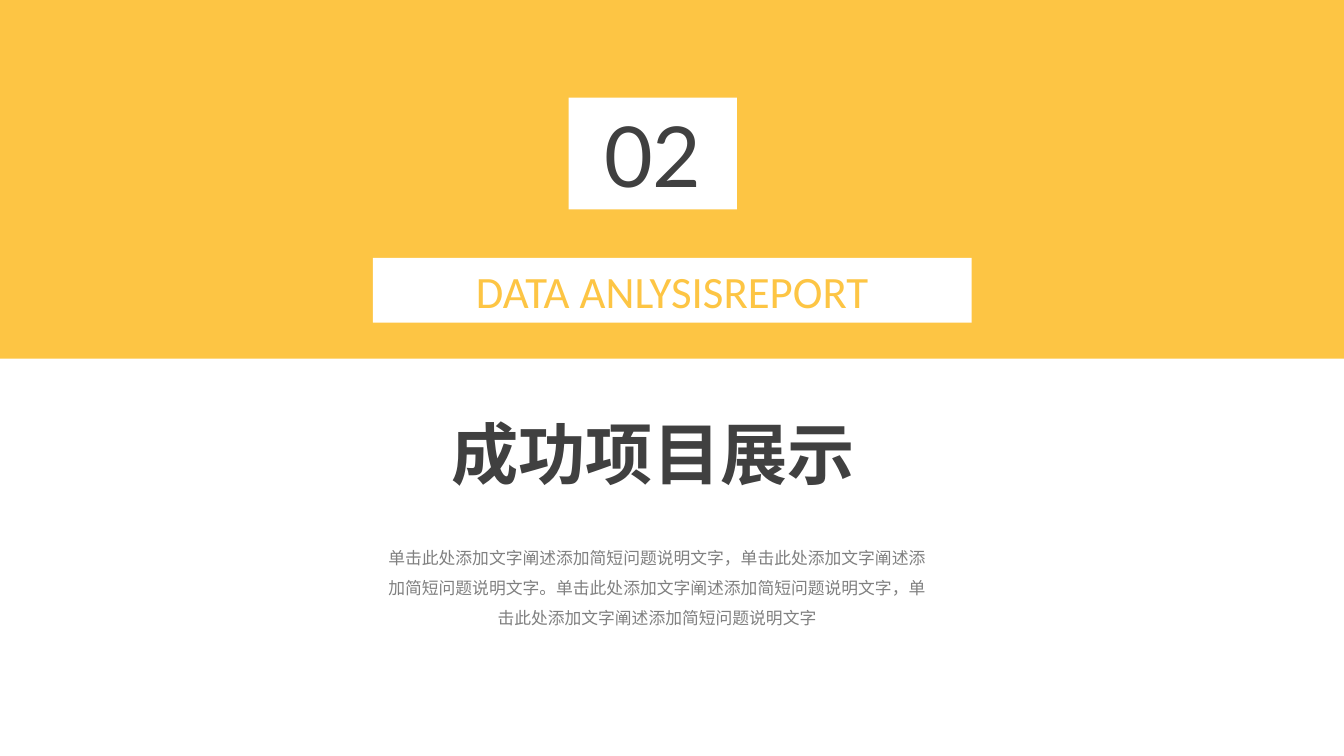
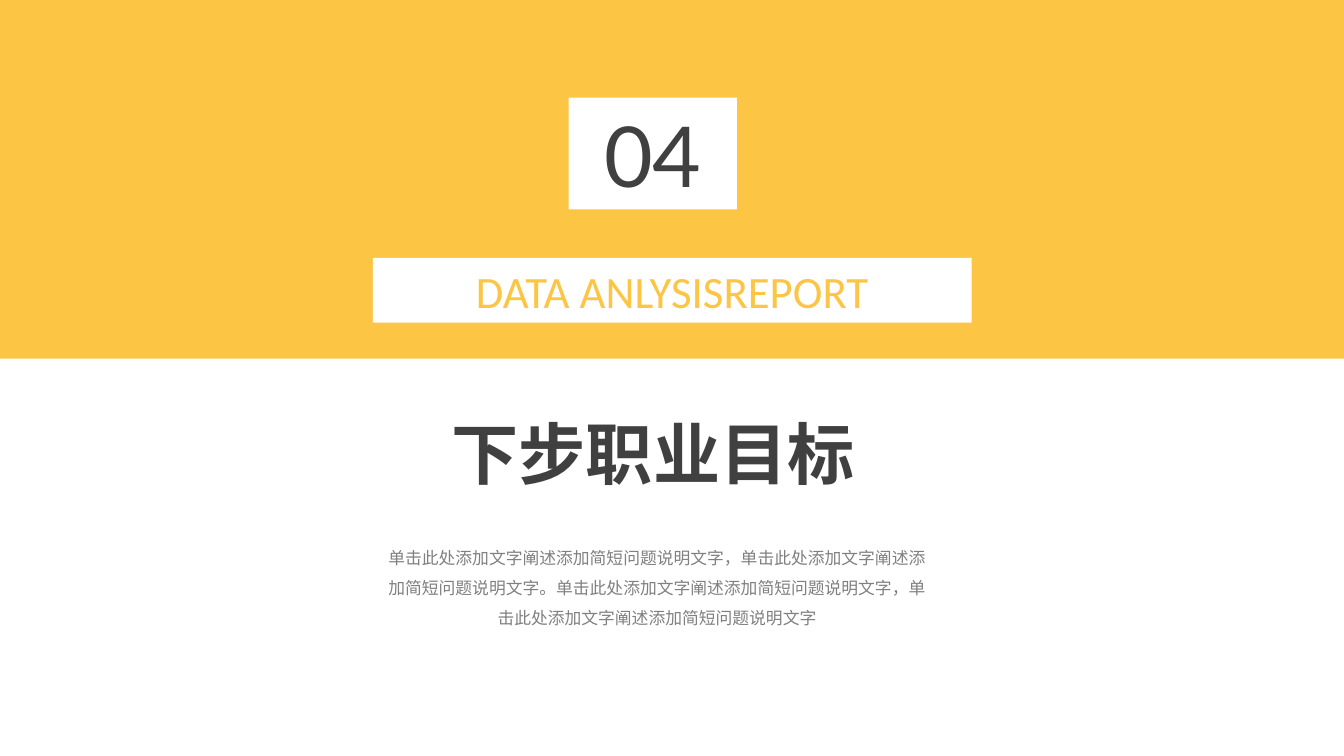
from lxml import etree
from pptx import Presentation
from pptx.dml.color import RGBColor
from pptx.enum.shapes import MSO_SHAPE
from pptx.enum.text import MSO_ANCHOR, MSO_AUTO_SIZE, PP_ALIGN
from pptx.oxml.ns import qn
from pptx.util import Cm, Pt

RECTANGLE = MSO_SHAPE.RECTANGLE
MIDDLE = MSO_ANCHOR.MIDDLE
NO_AUTOFIT = MSO_AUTO_SIZE.NONE
CENTER = PP_ALIGN.CENTER

SLIDE_WIDTH, SLIDE_HEIGHT = 33.87, 19.05
BAND_HEIGHT = 9.04
SECTION_LAYOUT = 2

YELLOW = "FDC544"
WHITE = "FFFFFF"
DARK = "404040"
GRAY = "808080"

NUMBER_FONT = "Lato"
STRAPLINE_FONT = "Calibri"
CHINESE_FONT = "Noto Sans CJK SC"

STRAPLINE = "DATA ANLYSISREPORT"
DESCRIPTION = (
    "单击此处添加文字阐述添加简短问题说明文字，"
    "单击此处添加文字阐述添加简短问题说明文字。"
    "单击此处添加文字阐述添加简短问题说明文字，"
    "单击此处添加文字阐述添加简短问题说明文字"
)
SECTIONS = [("02", "成功项目展示"), ("04", "下步职业目标")]


def color(hex_string):
    return RGBColor.from_string(hex_string)


def write(shape, text, *, font, size, ink, bold=False, line_spacing=1.0):
    frame = shape.text_frame
    frame.word_wrap = True
    frame.auto_size = NO_AUTOFIT
    frame.vertical_anchor = MIDDLE
    paragraph = frame.paragraphs[0]
    paragraph.alignment = CENTER
    paragraph.line_spacing = line_spacing
    paragraph.space_before = Pt(0)
    run = paragraph.add_run()
    run.text = text
    run.font.size = Pt(size)
    run.font.bold = bold
    run.font.color.rgb = color(ink)
    run.font.name = font
    east_asian = etree.SubElement(run.font._element, qn("a:ea"))
    east_asian.set("typeface", font)


def add_panel(slide, left, top, width, height, fill):
    panel = slide.shapes.add_shape(RECTANGLE, Cm(left), Cm(top), Cm(width), Cm(height))
    panel.shadow.inherit = False
    panel.fill.solid()
    panel.fill.fore_color.rgb = color(fill)
    panel.line.fill.background()
    return panel


def move(shape, left, top, width, height):
    shape.left, shape.top = Cm(left), Cm(top)
    shape.width, shape.height = Cm(width), Cm(height)


def add_band(slide, left, top, width, height, number):
    add_panel(slide, left, top, width, height, YELLOW)
    number_box = add_panel(slide, left + 14.33, top + 2.46, 4.24, 2.82, WHITE)
    write(number_box, number, font=NUMBER_FONT, size=60, ink=DARK)
    strapline_box = add_panel(slide, left + 9.4, top + 6.5, 15.09, 1.63, WHITE)
    write(strapline_box, STRAPLINE, font=STRAPLINE_FONT, size=32, ink=YELLOW)


def fill_heading(slide, left, top, heading):
    title, description = slide.placeholders
    move(title, left + 9.88, top + 1.22, 13.16, 2.31)
    write(title, heading, font=CHINESE_FONT, size=48, ink=DARK, bold=True)
    move(description, left + 9.37, top + 4.42, 14.38, 2.46)
    write(description, DESCRIPTION, font=CHINESE_FONT, size=12, ink=GRAY, line_spacing=1.5)


def add_section_slide(deck, number, heading):
    slide = deck.slides.add_slide(deck.slide_layouts[SECTION_LAYOUT])
    add_band(slide, 0, 0, SLIDE_WIDTH, BAND_HEIGHT, number)
    fill_heading(slide, 0, BAND_HEIGHT, heading)


def main():
    deck = Presentation()
    deck.slide_width, deck.slide_height = Cm(SLIDE_WIDTH), Cm(SLIDE_HEIGHT)
    for number, heading in SECTIONS:
        add_section_slide(deck, number, heading)
    deck.save("out.pptx")


if __name__ == "__main__":
    main()
